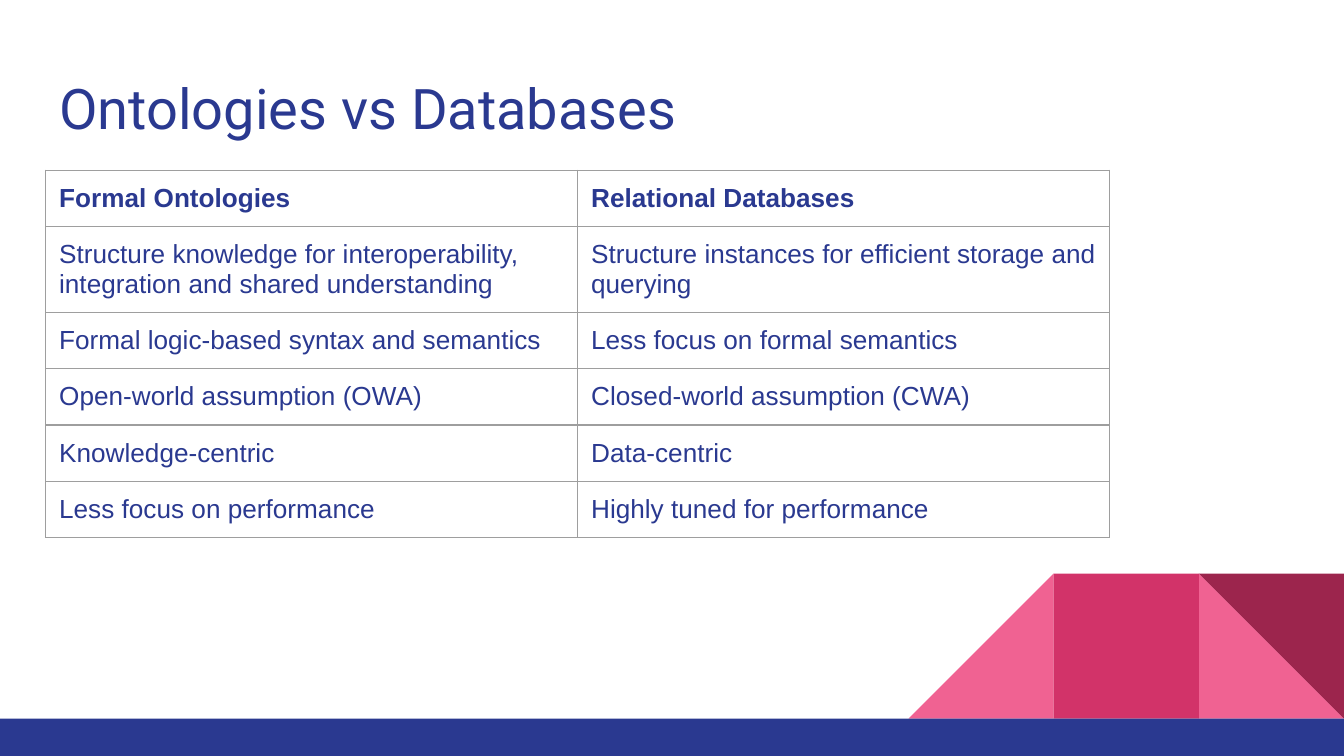
from dataclasses import dataclass

from pptx import Presentation
from pptx.dml.color import RGBColor
from pptx.enum.shapes import MSO_SHAPE
from pptx.enum.text import MSO_ANCHOR, MSO_AUTO_SIZE, PP_ALIGN
from pptx.oxml import parse_xml
from pptx.oxml.ns import nsdecls
from pptx.util import Pt


@dataclass(frozen=True)
class Theme:
    navy: str = "2A3990"
    pink: str = "F06292"
    rose: str = "D23369"
    wine: str = "9C254D"
    border: str = "9E9E9E"
    title_font: str = "Roboto"
    body_font: str = "Arial"
    title_size: int = 30
    body_size: int = 14
    border_width: float = 0.75
    inset: float = 7.2


class SlideBuilder:
    def __init__(self, slide, theme):
        self.slide = slide
        self.theme = theme

    def style_font(self, font, name, size, bold=False):
        font.name = name
        font.size = Pt(size)
        font.bold = bold
        font.color.rgb = RGBColor.from_string(self.theme.navy)

    def title(self, text, left, top, width, height):
        shape = self.slide.shapes.title
        shape.left, shape.top = Pt(left), Pt(top)
        shape.width, shape.height = Pt(width), Pt(height)
        frame = shape.text_frame
        frame.text = text
        frame.word_wrap = True
        frame.auto_size = MSO_AUTO_SIZE.NONE
        frame.vertical_anchor = MSO_ANCHOR.TOP
        frame.margin_left = frame.margin_right = Pt(self.theme.inset)
        frame.margin_top = frame.margin_bottom = Pt(self.theme.inset)
        paragraph = frame.paragraphs[0]
        paragraph.alignment = PP_ALIGN.LEFT
        self.style_font(paragraph.font, self.theme.title_font, self.theme.title_size)

    def block(self, kind, left, top, width, height, color, rotation=0):
        shape = self.slide.shapes.add_shape(
            kind, Pt(left), Pt(top), Pt(width), Pt(height))
        shape.rotation = rotation
        shape.shadow.inherit = False
        shape.fill.solid()
        shape.fill.fore_color.rgb = RGBColor.from_string(color)
        shape.line.fill.background()

    def table(self, rows, left, top, column_width, row_heights):
        columns = len(rows[0])
        table = self.slide.shapes.add_table(
            len(rows), columns, Pt(left), Pt(top),
            Pt(column_width * columns), Pt(sum(row_heights))).table
        table.horz_banding = False
        table.first_row = False
        for column in table.columns:
            column.width = Pt(column_width)
        for row_index, texts in enumerate(rows):
            table.rows[row_index].height = Pt(row_heights[row_index])
            for column_index, text in enumerate(texts):
                self.cell(table.cell(row_index, column_index), text, row_index == 0)

    def cell(self, cell, text, bold):
        cell.text = text
        cell.margin_left = cell.margin_right = Pt(self.theme.inset)
        cell.margin_top = cell.margin_bottom = Pt(self.theme.inset)
        cell.fill.background()
        self.style_font(cell.text_frame.paragraphs[0].font,
                        self.theme.body_font, self.theme.body_size, bold)
        # Border lines come before the fill in the cell properties
        properties = cell._tc.get_or_add_tcPr()
        for index, side in enumerate("LRTB"):
            properties.insert(index, parse_xml(
                f'<a:ln{side} {nsdecls("a")} w="{Pt(self.theme.border_width)}">'
                f'<a:solidFill><a:srgbClr val="{self.theme.border}"/></a:solidFill>'
                f'</a:ln{side}>'))


def main():
    width, height = 720, 405
    presentation = Presentation()
    presentation.slide_width, presentation.slide_height = Pt(width), Pt(height)
    slide = presentation.slides.add_slide(presentation.slide_layouts[5])
    theme = Theme()
    builder = SlideBuilder(slide, theme)

    # Corner decoration: square tiles counted from the right edge
    tile, bar_top = 77.75, 385
    tiles = [
        (MSO_SHAPE.RIGHT_TRIANGLE, 1, theme.pink, 0),
        (MSO_SHAPE.RIGHT_TRIANGLE, 3, theme.pink, 270),
        (MSO_SHAPE.RECTANGLE, 2, theme.rose, 0),
        (MSO_SHAPE.RIGHT_TRIANGLE, 1, theme.wine, 180),
    ]
    for kind, position, color, rotation in tiles:
        builder.block(kind, width - position * tile, bar_top - tile,
                      tile, tile, color, rotation)

    # Footer bar
    builder.block(MSO_SHAPE.RECTANGLE, 0, bar_top, width, height - bar_top, theme.navy)

    # Title
    builder.title("Ontologies vs Databases", 24.5, 32.4, 671, 47.5)

    # Comparison table
    rows = [
        ("Formal Ontologies", "Relational Databases"),
        ("Structure knowledge for interoperability, integration and shared understanding",
         "Structure instances for efficient storage and querying"),
        ("Formal logic-based syntax and semantics", "Less focus on formal semantics"),
        ("Open-world assumption (OWA)", "Closed-world assumption (CWA)"),
        ("Knowledge-centric", "Data-centric"),
        ("Less focus on performance", "Highly tuned for performance"),
    ]
    single, double = 30.2, 45.5
    builder.table(rows, 24.5, 91.2, 285, [single, double] + [single] * 4)

    presentation.save("out.pptx")


if __name__ == "__main__":
    main()
